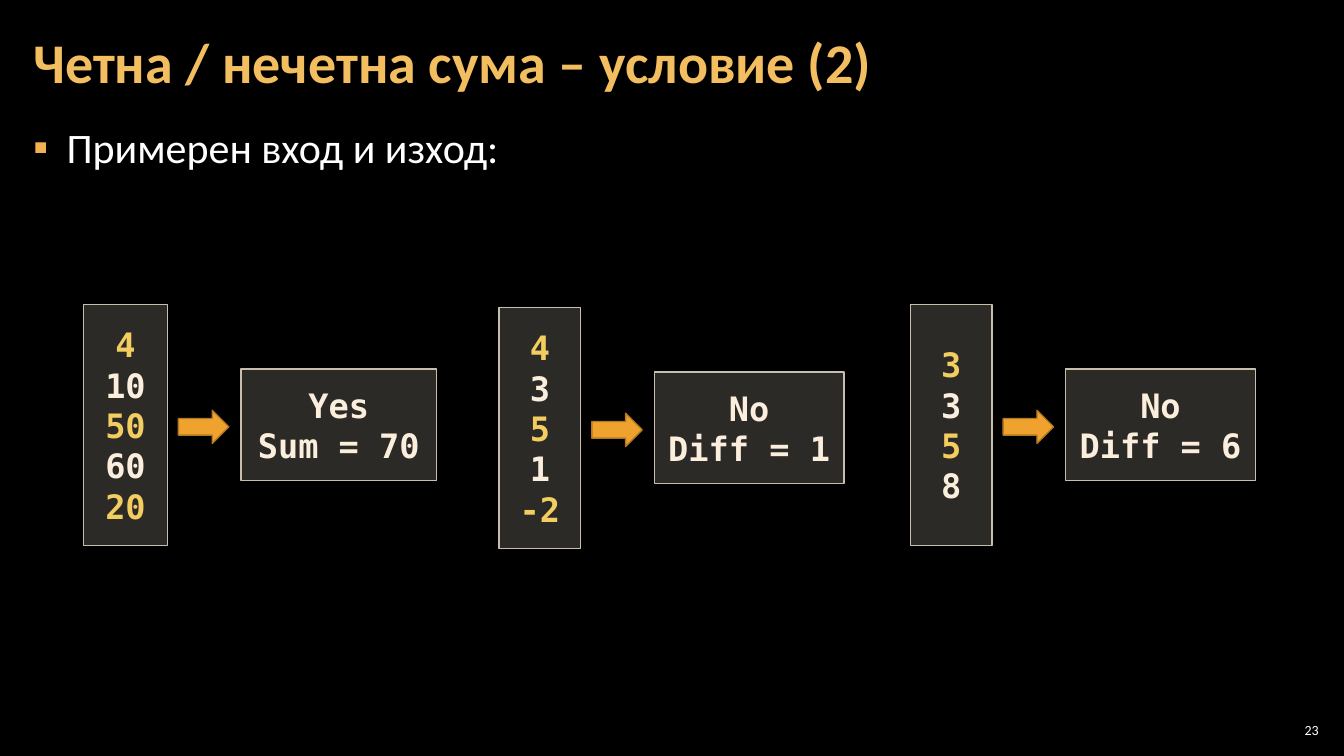
"""Build the slide with sample input and output for the even / odd sum task."""
from dataclasses import dataclass

from lxml.etree import SubElement
from pptx import Presentation
from pptx.dml.color import RGBColor
from pptx.enum.shapes import MSO_SHAPE
from pptx.enum.text import MSO_ANCHOR, MSO_AUTO_SIZE, PP_ALIGN
from pptx.oxml.ns import qn
from pptx.util import Inches, Pt


@dataclass(frozen=True)
class Theme:
    background: str = "000000"
    title: str = "F3BE60"
    text: str = "FFFFFF"
    bullet: str = "F2B254"
    box: str = "D9D5C7"
    box_alpha: int = 20
    box_line: str = "C7BFAC"
    arrow: str = "F0A22E"
    arrow_line: str = "B27822"
    even: str = "F3CD60"
    odd: str = "FBEEDC"
    font: str = "Calibri"
    code_font: str = "DejaVu Sans Mono"
    title_size: int = 40
    body_size: int = 30
    code_size: int = 24
    number_size: int = 10


class SlideBuilder:
    def __init__(self, prs, theme):
        self.theme = theme
        self.s = prs.slides.add_slide(prs.slide_layouts[1])
        fill = self.s.background.fill
        fill.solid()
        fill.fore_color.rgb = RGBColor.from_string(theme.background)

    def place(self, sp, box):
        for name, value in zip(("left", "top", "width", "height"), box):
            setattr(sp, name, Inches(value))

    def frame(self, sp, anchor, side):
        tf = sp.text_frame
        fmt = {
            "word_wrap": True,
            "auto_size": MSO_AUTO_SIZE.NONE,
            "vertical_anchor": anchor,
            "margin_left": Inches(side),
            "margin_right": Inches(side),
            "margin_top": Inches(0.04),
            "margin_bottom": Inches(0.04),
        }
        for name, value in fmt.items():
            setattr(tf, name, value)
        return tf

    def add_text(self, p, text, color, size, font, bold=False, **para):
        for name, value in para.items():
            setattr(p, name, value)
        r = p.add_run()
        r.text = text
        fmt = {"name": font, "size": Pt(size), "bold": bold}
        for name, value in fmt.items():
            setattr(r.font, name, value)
        r.font.color.rgb = RGBColor.from_string(color)

    def title(self, text, box):
        t = self.theme
        sp = self.s.shapes.title
        self.place(sp, box)
        p = self.frame(sp, MSO_ANCHOR.MIDDLE, 0.12).paragraphs[0]
        self.add_text(p, text, t.title, t.title_size, t.font, bold=True,
                      alignment=PP_ALIGN.LEFT, line_spacing=0.9)

    def body(self, text, box):
        t = self.theme
        sp = self.s.placeholders[1]
        self.place(sp, box)
        p = self.frame(sp, MSO_ANCHOR.TOP, 0.12).paragraphs[0]
        self.add_text(p, text, t.text, t.body_size, t.font,
                      space_before=Pt(6), space_after=Pt(6))
        pPr = p._p.get_or_add_pPr()
        pPr.set("marL", str(Inches(0.33)))
        pPr.set("indent", str(Inches(-0.33)))
        color = SubElement(pPr, qn("a:buClr"))
        SubElement(color, qn("a:srgbClr"), val=t.bullet)
        SubElement(pPr, qn("a:buFont"), typeface=t.font)
        SubElement(pPr, qn("a:buChar"), char="▪")

    def number(self, text, box):
        t = self.theme
        sp = self.s.shapes.add_textbox(*map(Inches, box))
        p = self.frame(sp, MSO_ANCHOR.MIDDLE, 0.04).paragraphs[0]
        self.add_text(p, text, t.text, t.number_size, t.font,
                      alignment=PP_ALIGN.RIGHT)

    def shape(self, group, kind, box, fill, line):
        sp = group.shapes.add_shape(kind, *map(Inches, box))
        sp.shadow.inherit = False
        sp.fill.solid()
        sp.fill.fore_color.rgb = RGBColor.from_string(fill)
        sp.line.color.rgb = RGBColor.from_string(line)
        sp.line.width = Pt(1)
        return sp

    def code_box(self, group, box, lines, colors):
        t = self.theme
        sp = self.shape(group, MSO_SHAPE.RECTANGLE, box, t.box, t.box_line)
        color = sp.element.spPr.find(qn("a:solidFill"))[0]
        SubElement(color, qn("a:alpha"), val=str(t.box_alpha * 1000))
        tf = self.frame(sp, MSO_ANCHOR.MIDDLE, 0.1)
        for i, text in enumerate(lines):
            p = tf.add_paragraph() if i else tf.paragraphs[0]
            self.add_text(p, text, colors[i % len(colors)], t.code_size,
                          t.code_font, bold=True, alignment=PP_ALIGN.CENTER)

    def example(self, left, top, in_width, out_width, numbers, result):
        t = self.theme
        group = self.s.shapes.add_group_shape()
        right = left + in_width
        self.code_box(group, (left, top, in_width, 2.39), numbers,
                      (t.even, t.odd))
        self.code_box(group, (right + 0.73, top + 0.64, out_width, 1.11),
                      result, (t.odd,))
        self.shape(group, MSO_SHAPE.RIGHT_ARROW,
                   (right + 0.11, top + 1.05, 0.5, 0.33),
                   t.arrow, t.arrow_line)


def main():
    prs = Presentation()
    prs.slide_width, prs.slide_height = Inches(13.33), Inches(7.5)
    slide = SlideBuilder(prs, Theme())
    slide.number("23", (12.65, 7.14, 0.47, 0.21))
    slide.body("Примерен вход и изход:", (0.21, 1.17, 12.91, 6.09))
    slide.title("Четна / нечетна сума – условие (2)", (0.21, 0.04, 10.47, 1.21))
    examples = [
        (0.83, 3.02, 0.83, 1.94, ["4", "10", "50", "60", "20"], ["Yes", "Sum = 70"]),
        (4.95, 3.05, 0.81, 1.88, ["4", "3", "5", "1", "-2"], ["No", "Diff = 1"]),
        (9.03, 3.02, 0.81, 1.88, ["3", "3", "5", "8"], ["No", "Diff = 6"]),
    ]
    for example in examples:
        slide.example(*example)
    prs.save("out.pptx")


if __name__ == "__main__":
    main()
